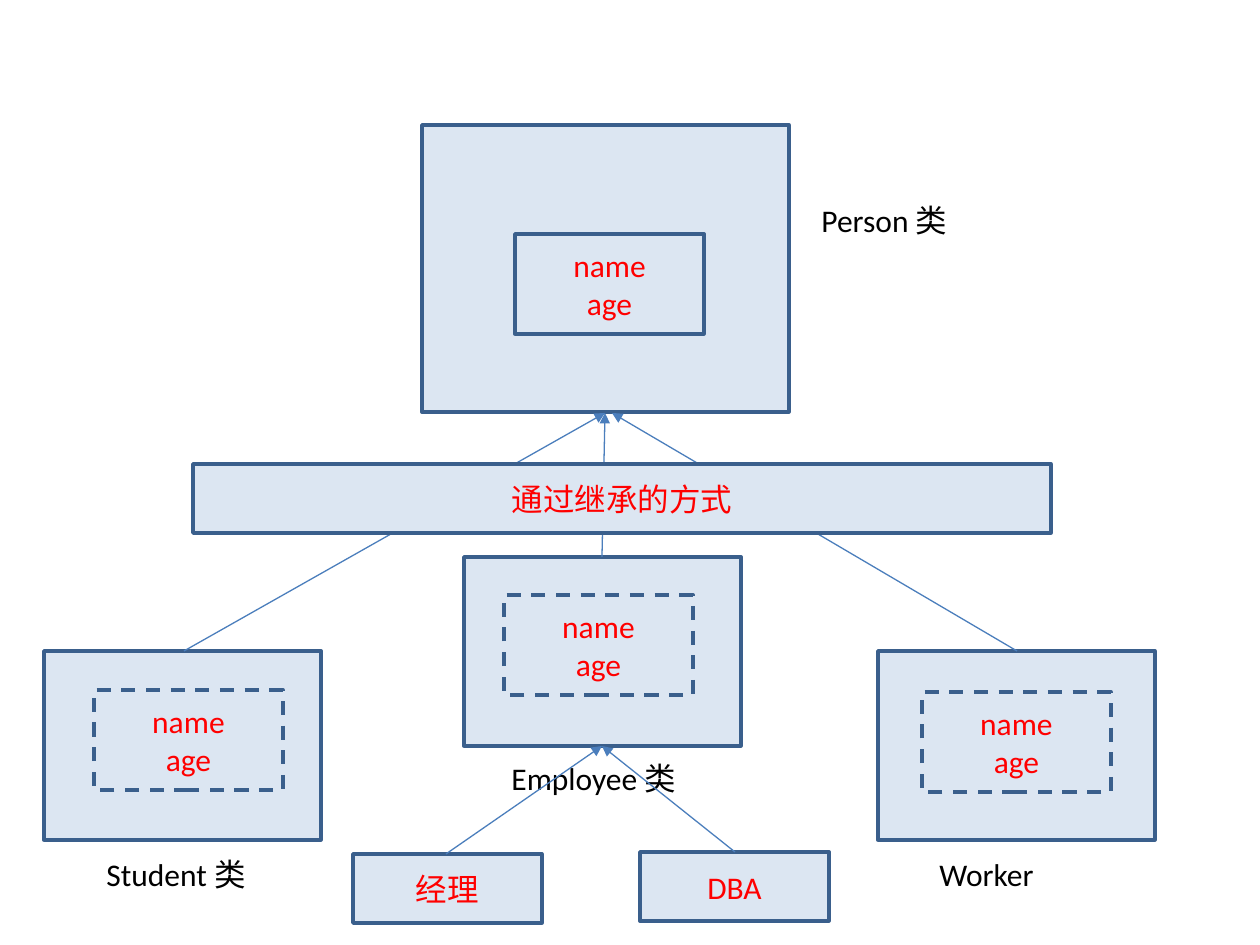
from dataclasses import dataclass

from lxml.etree import SubElement
from pptx import Presentation
from pptx.dml.color import RGBColor
from pptx.enum.dml import MSO_LINE as Dash
from pptx.enum.shapes import MSO_CONNECTOR as Conn, MSO_SHAPE as Geom
from pptx.enum.text import MSO_ANCHOR as Anchor, PP_ALIGN as Align
from pptx.oxml.ns import qn
from pptx.util import Emu, Pt

FILL = RGBColor(0xDC, 0xE6, 0xF2)
EDGE = RGBColor(0x3A, 0x5F, 0x8C)
LINK = RGBColor(0x4B, 0x7E, 0xBC)
RED = RGBColor(0xFF, 0x00, 0x00)
BLACK = RGBColor(0x00, 0x00, 0x00)
FONT = "Calibri"
SCALE = 914400 / 126

FIELDS = "name\nage"
FIELD_W, FIELD_H = 189, 100
SUB_W, SUB_H = 277, 189
LABEL_H = 50
BAR_H = 69


@dataclass(frozen=True)
class Box:
    x: int
    y: int
    w: int
    h: int
    text: str = ""
    dashed: bool = False


@dataclass(frozen=True)
class Group:
    """A class: its frame, the fields inside it and its label."""
    frame: Box
    field: Box
    label: Box


@dataclass(frozen=True)
class Arrow:
    x1: int
    y1: int
    x2: int
    y2: int


def sub(x: int, y: int, fx: int, fy: int, label: Box) -> Group:
    return Group(Box(x, y, SUB_W, SUB_H),
                 Box(fx, fy, FIELD_W, FIELD_H, FIELDS, dashed=True), label)


GROUPS = [
    Group(Box(422, 125, 367, 287),
          Box(515, 234, FIELD_W, FIELD_H, FIELDS),
          Box(809, 195, 268, LABEL_H, "Person 类")),
    sub(44, 651, 94, 690, Box(94, 849, 287, LABEL_H, "Student 类")),
    sub(464, 557, 504, 595, Box(499, 753, 218, LABEL_H, "Employee 类")),
    sub(878, 651, 922, 692, Box(927, 849, 198, LABEL_H, "Worker")),
]
BARS = [
    Box(193, 464, 858, BAR_H, "通过继承的方式"),
    Box(353, 854, FIELD_W, BAR_H, "经理"),
    Box(640, 852, FIELD_W, BAR_H, "DBA"),
]
TO_PERSON = [
    Arrow(184, 651, 605, 413),
    Arrow(602, 557, 605, 413),
    Arrow(1017, 651, 612, 413),
]
TO_STAFF = [
    Arrow(446, 854, 602, 746),
    Arrow(735, 852, 602, 746),
]


def px(*vals: int) -> list[Emu]:
    return [Emu(round(v * SCALE)) for v in vals]


def write(shape, text: str, *, color: RGBColor = BLACK, size: int = 18,
          align: Align = Align.LEFT, anchor: Anchor = Anchor.TOP) -> None:
    frame = shape.text_frame
    frame.word_wrap = True
    frame.vertical_anchor = anchor
    frame.text = text
    for para in frame.paragraphs:
        para.alignment = align
        for run in para.runs:
            run.font.name = FONT
            run.font.size = Pt(size)
            run.font.color.rgb = color


def draw_box(slide, box: Box) -> None:
    shape = slide.shapes.add_shape(
        Geom.RECTANGLE, *px(box.x, box.y, box.w, box.h))
    shape.shadow.inherit = False
    shape.fill.solid()
    shape.fill.fore_color.rgb = FILL
    shape.line.color.rgb = EDGE
    shape.line.width = Pt(2)
    if box.dashed:
        shape.line.dash_style = Dash.DASH
    if box.text:
        write(shape, box.text, color=RED, align=Align.CENTER,
              anchor=Anchor.MIDDLE)


def draw_label(slide, box: Box) -> None:
    shape = slide.shapes.add_textbox(*px(box.x, box.y, box.w, box.h))
    write(shape, box.text)


def draw_arrow(slide, arrow: Arrow) -> None:
    line = slide.shapes.add_connector(
        Conn.STRAIGHT, *px(arrow.x1, arrow.y1, arrow.x2, arrow.y2))
    line.line.color.rgb = LINK
    line.line.width = Pt(0.75)
    SubElement(line.line._get_or_add_ln(), qn("a:tailEnd"), type="triangle")
    SubElement(line._element.spPr, qn("a:effectLst"))


def main() -> None:
    deck = Presentation()
    deck.slide_width, deck.slide_height = px(1260, 945)
    slide = deck.slides.add_slide(deck.slide_layouts[6])
    for group in GROUPS:
        draw_box(slide, group.frame)
        draw_label(slide, group.label)
        draw_box(slide, group.field)
    for arrow in TO_PERSON:
        draw_arrow(slide, arrow)
    for bar in BARS:
        draw_box(slide, bar)
    for arrow in TO_STAFF:
        draw_arrow(slide, arrow)
    deck.save("out.pptx")


if __name__ == "__main__":
    main()
